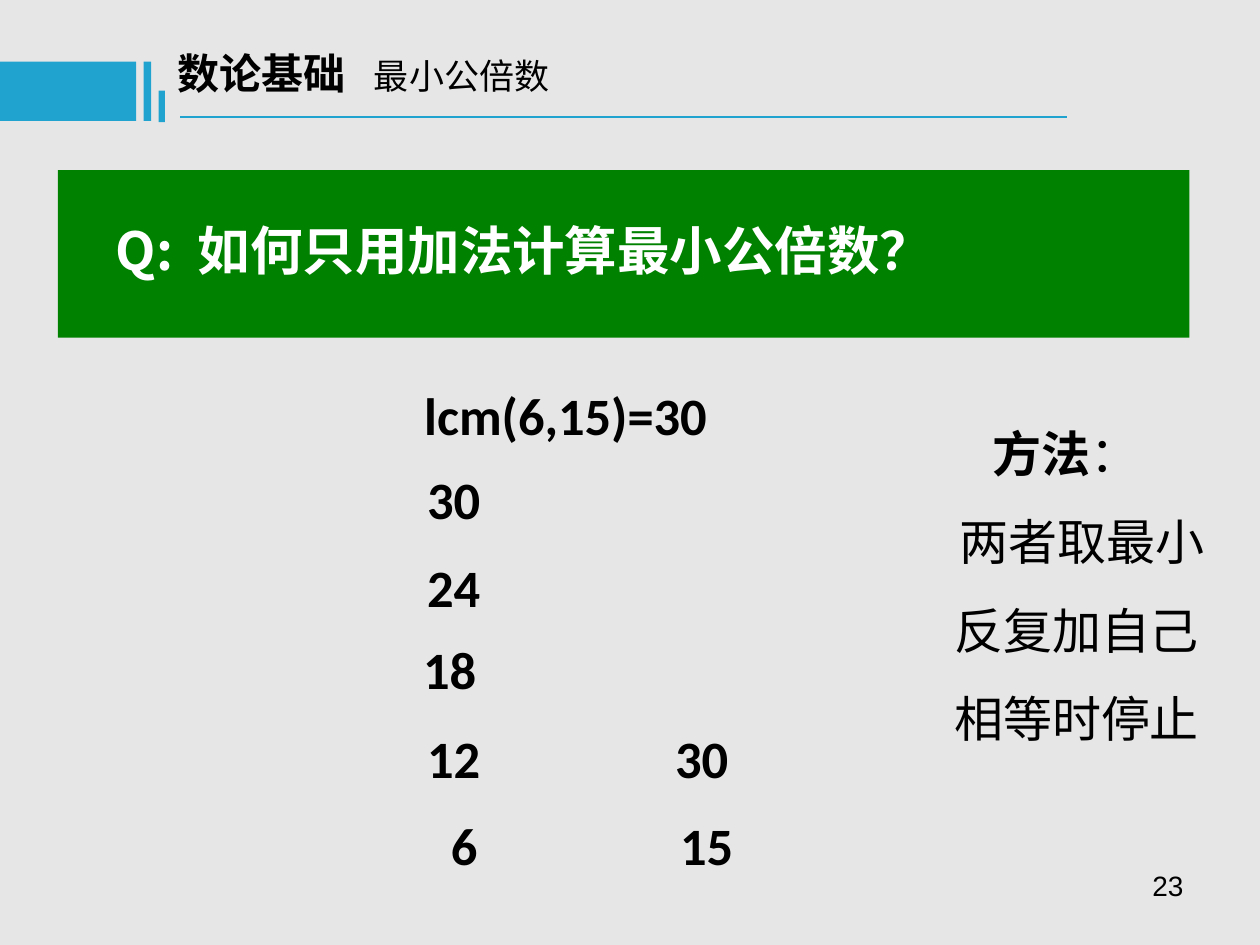
from lxml.etree import SubElement
from pptx import Presentation
from pptx.dml.color import RGBColor
from pptx.enum.shapes import MSO_CONNECTOR, MSO_SHAPE
from pptx.enum.text import MSO_AUTO_SIZE, PP_ALIGN
from pptx.oxml.ns import qn
from pptx.util import Inches, Pt

COLORS = {"background": "E7E6E6", "banner": "008200", "accent": "21A3D0",
          "text": "000000", "light": "FFFFFF"}
CJK_FONT = "Noto Sans CJK SC"


def color(name):
    """Return the named colour."""
    return RGBColor.from_string(COLORS[name])


def add_bar(slide, box, fill):
    """Add a plain filled rectangle."""
    shape = slide.shapes.add_shape(MSO_SHAPE.RECTANGLE, *map(Inches, box))
    shape.shadow.inherit = False
    shape.fill.solid()
    shape.fill.fore_color.rgb = color(fill)
    shape.line.fill.background()


def add_rule(slide, left, right, top):
    """Add the horizontal line under the heading."""
    line = slide.shapes.add_connector(
        MSO_CONNECTOR.STRAIGHT, *map(Inches, (left, top, right, top)))
    line.line.color.rgb = color("accent")
    line.line.width = Pt(1.5)
    SubElement(line._element.spPr, qn("a:effectLst"))


def format_run(run, size, font="Calibri", bold=True, ink="text"):
    """Set the font of a run for Latin and Chinese characters."""
    run.font.size = Pt(size)
    run.font.bold = bold
    run.font.color.rgb = color(ink)
    run.font.name = font
    SubElement(run._r.get_or_add_rPr(), qn("a:ea"), typeface=CJK_FONT)


def add_text(slide, box, text, size, align=PP_ALIGN.LEFT, wrap=True, **style):
    """Add a text box with one paragraph per line and return its paragraphs."""
    text_frame = slide.shapes.add_textbox(*map(Inches, box)).text_frame
    text_frame.word_wrap = wrap
    text_frame.auto_size = MSO_AUTO_SIZE.SHAPE_TO_FIT_TEXT
    text_frame.text = text
    for paragraph in text_frame.paragraphs:
        paragraph.alignment = align
        for run in paragraph.runs:
            format_run(run, size, **style)
    return text_frame.paragraphs


def add_tab_stop(paragraph, position):
    """Give a paragraph one left tab stop."""
    tabs = SubElement(paragraph._p.get_or_add_pPr(), qn("a:tabLst"))
    SubElement(tabs, qn("a:tab"), pos=str(Inches(position)), algn="l")


def add_heading(slide):
    """Add the heading with its bars and line."""
    heading = add_text(slide, (1.31, 0.33, 7.09, 0.5), "数论基础\t", 24,
                       font=CJK_FONT)[0]
    add_tab_stop(heading, 1.56)
    topic = heading.add_run()
    topic.text = "最小公倍数"
    format_run(topic, 20, font=CJK_FONT, bold=False)
    for box in ((0, 0.49, 1.08, 0.47), (1.14, 0.49, 0.06, 0.47),
                (1.26, 0.72, 0.05, 0.25)):
        add_bar(slide, box, "accent")
    add_rule(slide, 1.43, 8.47, 0.93)


def add_question(slide):
    """Add the question on its green banner."""
    add_bar(slide, (0.46, 1.35, 8.98, 1.33), "banner")
    question = add_text(slide, (0.82, 1.68, 8.36, 0.6),
                        "Q:\t如何只用加法计算最小公倍数？", 30,
                        font=CJK_FONT, ink="light")[0]
    add_tab_stop(question, 0.65)


def add_multiples(slide):
    """Add the two columns of multiples below their result."""
    add_text(slide, (3.22, 2.99, 2.54, 0.6), "lcm(6,15)=30", 30,
             PP_ALIGN.CENTER)
    start = add_text(slide, (3.48, 6.4, 2.6, 0.6), "6\t15", 30)[0]
    add_tab_stop(start, 1.82)
    for number, left, top in (("12", 3.29, 5.71), ("18", 3.26, 5.01),
                              ("24", 3.29, 4.36), ("30", 3.29, 3.66),
                              ("30", 5.26, 5.71)):
        add_text(slide, (left, top, 0.62, 0.6), number, 30,
                 PP_ALIGN.CENTER, wrap=False)


def add_method(slide):
    """Add the method and its three steps."""
    paragraphs = add_text(slide, (7.26, 3.08, 2.4, 2.9),
                          "方法\n两者取最小\n反复加自己\n相等时停止", 28,
                          PP_ALIGN.CENTER, bold=False)
    for paragraph, indent in zip(paragraphs, (0, 0.25, 0.17, 0.17)):
        paragraph.line_spacing = 1.5
        paragraph._p.get_or_add_pPr().set("marL", str(Inches(indent)))
    paragraphs[0].runs[0].font.bold = True
    colon = paragraphs[0].add_run()
    colon.text = "："
    format_run(colon, 28, bold=False)


def main():
    """Build and save the slide."""
    presentation = Presentation()
    presentation.slide_width = Inches(10)
    presentation.slide_height = Inches(7.5)
    slide = presentation.slides.add_slide(presentation.slide_layouts[6])
    slide.background.fill.solid()
    slide.background.fill.fore_color.rgb = color("background")
    add_text(slide, (7.16, 6.84, 2.33, 0.52), "23", 16, PP_ALIGN.RIGHT,
             font="Arial", bold=False)
    add_question(slide)
    add_heading(slide)
    add_multiples(slide)
    add_method(slide)
    presentation.save("out.pptx")


if __name__ == "__main__":
    main()
